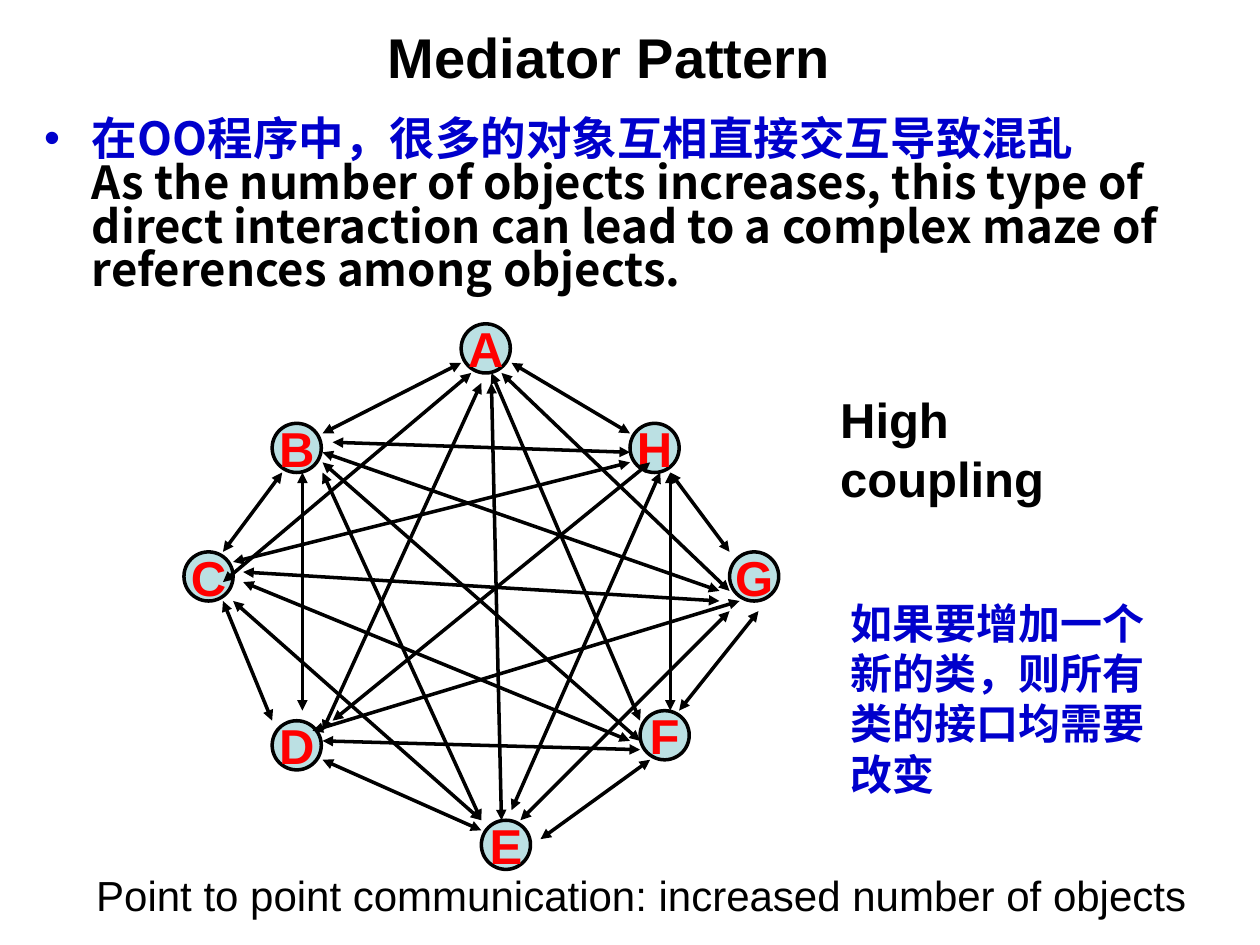
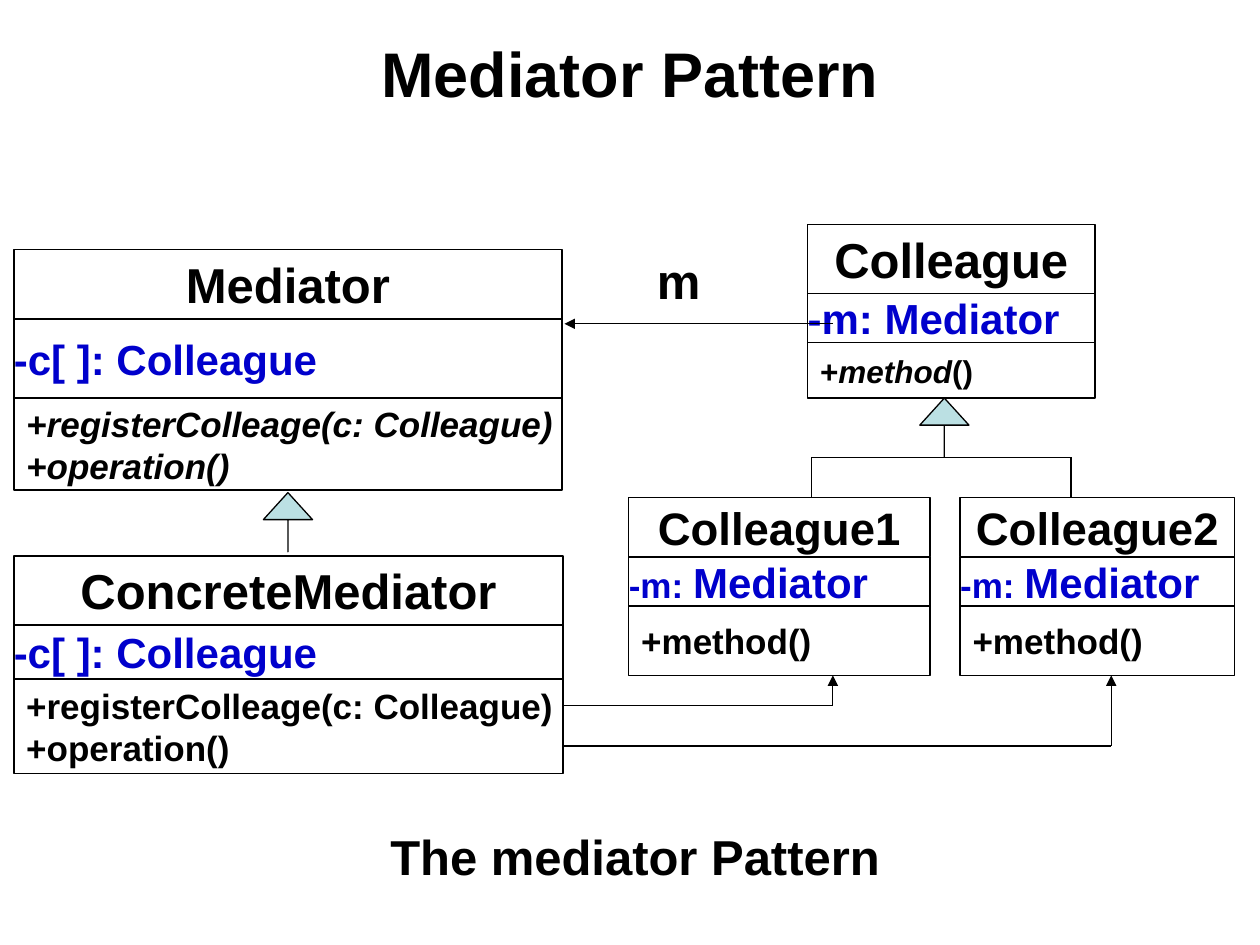
from lxml import etree
from pptx import Presentation
from pptx.dml.color import RGBColor
from pptx.enum.shapes import MSO_CONNECTOR as Conn, MSO_SHAPE as Kind
from pptx.enum.text import MSO_ANCHOR as Anchor, MSO_AUTO_SIZE as Fit, PP_ALIGN as Align
from pptx.oxml.ns import qn
from pptx.util import Inches, Pt

BLACK = RGBColor(0x00, 0x00, 0x00)
WHITE = RGBColor(0xFF, 0xFF, 0xFF)
BLUE = RGBColor(0x00, 0x00, 0xCC)
RED = RGBColor(0xFF, 0x00, 0x00)
TEAL = RGBColor(0xBB, 0xE0, 0xE3)
LATIN = "Arial"
HAN = "Noto Sans CJK SC"


def write(shape, *paras, size=28, color=BLACK, face=LATIN, bold=True, ital=False,
          align=Align.LEFT, anchor=Anchor.TOP, left=0.1, right=0.1, wrap=True, space=1.0):
    """Fill a shape with paragraphs, each a string or a list of (text, changes) runs."""
    frame = shape.text_frame
    frame.auto_size = Fit.NONE
    frame.word_wrap = wrap
    frame.vertical_anchor = anchor
    frame.margin_left, frame.margin_right = Inches(left), Inches(right)
    frame.margin_top = frame.margin_bottom = Inches(0.05)
    for n, runs in enumerate(paras):
        para = frame.add_paragraph() if n else frame.paragraphs[0]
        para.alignment = align
        para.line_spacing = space
        para.space_before = Pt(0)
        for text, diff in [(runs, {})] if isinstance(runs, str) else runs:
            if text == "\n":
                para.add_line_break()
                continue
            run = para.add_run()
            run.text = text
            font = run.font
            font.size = Pt(diff.get("size", size))
            font.bold = bold
            font.italic = diff.get("ital", ital)
            font.color.rgb = diff.get("color", color)
            font.name = face
            east = etree.SubElement(run._r.get_or_add_rPr(), qn("a:ea"))
            east.set("typeface", face)


def link(slide, x1, y1, x2, y2, width=0.75, ends=()):
    """Draw a straight line; ends names the sides with an arrowhead."""
    wire = slide.shapes.add_connector(
        Conn.STRAIGHT, Inches(x1), Inches(y1), Inches(x2), Inches(y2))
    wire.line.color.rgb = BLACK
    wire.line.width = Pt(width)
    for end in ends:
        etree.SubElement(wire.line._get_or_add_ln(), qn(f"a:{end}")).set("type", "triangle")
    etree.SubElement(wire._element.spPr, qn("a:effectLst"))


prs = Presentation()
prs.slide_width, prs.slide_height = Inches(10), Inches(7.5)
maze = prs.slides.add_slide(prs.slide_layouts[1])
uml = prs.slides.add_slide(prs.slide_layouts[5])

# Titles
for slide, size, spot in [(maze, 32, (2.23, 0.13, 5.21, 0.63)),
                          (uml, 36, (0.5, 0.3, 9, 0.54))]:
    title = slide.shapes.title
    title.left, title.top, title.width, title.height = map(Inches, spot)
    write(title, "Mediator Pattern", size=size, align=Align.CENTER, anchor=Anchor.MIDDLE)

# Slide 1: bulleted statement
body = maze.placeholders[1]
body.left, body.top, body.width, body.height = map(Inches, (0.35, 0.91, 9.37, 1.65))
write(body, [("在OO程序中，很多的对象互相直接交互导致混乱", {"color": BLUE}),
             ("\n", {}),
             ("As the number of objects increases, this type of direct interaction "
              "can lead to a complex maze of references among objects.", {})],
      size=26, face=HAN, left=0, right=0, space=0.8)
props = body.text_frame.paragraphs[0]._p.get_or_add_pPr()
props.set("marL", str(Inches(0.38)))
props.set("indent", str(-Inches(0.38)))
tint = etree.SubElement(etree.SubElement(props, qn("a:buClr")), qn("a:srgbClr"))
tint.set("val", str(BLUE))
etree.SubElement(props, qn("a:buFont")).set("typeface", LATIN)
etree.SubElement(props, qn("a:buChar")).set("char", "•")

# Slide 1: objects
for name, x, y in [("A", 3.66, 2.57), ("B", 2.16, 3.36), ("C", 1.46, 4.38), ("D", 2.16, 5.72),
                   ("E", 3.82, 6.51), ("F", 5.08, 5.64), ("G", 5.79, 4.38), ("H", 5, 3.36)]:
    node = maze.shapes.add_shape(Kind.OVAL, Inches(x), Inches(y), Inches(0.39), Inches(0.39))
    node.shadow.inherit = False
    node.fill.solid()
    node.fill.fore_color.rgb = TEAL
    node.line.color.rgb = BLACK
    node.line.width = Pt(2)
    write(node, name, color=RED, align=Align.CENTER, anchor=Anchor.MIDDLE, wrap=False)

# Slide 1: every object talks to every other one
PAIRS = {
    "AB": (3.66, 2.88, 2.56, 3.44), "AC": (3.74, 2.96, 1.77, 4.62),
    "AD": (3.82, 3.04, 2.56, 5.8), "AE": (3.9, 3.04, 3.98, 6.51),
    "AF": (3.9, 2.96, 5.08, 5.72), "AG": (3.98, 2.96, 5.79, 4.69),
    "AH": (4.06, 2.88, 5, 3.44), "BC": (2.24, 3.75, 1.77, 4.38),
    "BD": (2.4, 3.75, 2.4, 5.64), "BE": (2.56, 3.75, 3.82, 6.51),
    "BF": (2.56, 3.67, 5.08, 5.88), "BG": (2.56, 3.59, 5.71, 4.69),
    "BH": (2.64, 3.51, 5, 3.59), "CD": (1.77, 4.77, 2.16, 5.72),
    "CE": (1.85, 4.77, 3.82, 6.51), "CF": (1.93, 4.62, 5, 5.88),
    "CG": (1.93, 4.54, 5.71, 4.77), "CH": (1.85, 4.46, 5, 3.67),
    "DE": (2.56, 6.03, 3.82, 6.59), "DF": (2.56, 5.88, 5.08, 5.95),
    "DG": (2.48, 5.8, 5.87, 4.77), "DH": (2.64, 5.72, 5.16, 3.67),
    "EF": (4.29, 6.66, 5.16, 6.03), "EG": (4.13, 6.51, 5.79, 4.85),
    "EH": (4.06, 6.43, 5.24, 3.75), "FG": (5.39, 5.64, 6.02, 4.85),
    "FH": (5.32, 5.64, 5.32, 3.75), "GH": (5.79, 4.38, 5.32, 3.75),
}
for ends in PAIRS.values():
    link(maze, *ends, width=2, ends=("headEnd", "tailEnd"))

# Slide 2: classes, each a name, a field and a methods row
OPS = ("+registerColleage(c: Colleague)", "+operation()")
LIST = "-c[ ]: Colleague"
FIELD = [("-m: ", {"size": 20}), ("Mediator", {})]
CALL = [("+", {}), ("method", {"ital": True}), ("()", {})]
CLASSES = [
    ("Mediator", 28, 0.11, 1.98, 4.35, (0.55, 0.63, 0.73), 1, LIST, OPS, 20, True),
    ("ConcreteMediator", 28, 0.11, 4.41, 4.36, (0.55, 0.43, 0.75), 1, LIST, OPS, 20, False),
    ("Colleague", 28, 6.41, 1.78, 2.28, (0.55, 0.39, 0.44), 0.75, "-m: Mediator", (CALL,), 18, False),
    ("Colleague1", 26, 4.99, 3.95, 2.39, (0.47, 0.39, 0.55), 0.75, FIELD, ("+method()",), 20, False),
    ("Colleague2", 26, 7.62, 3.95, 2.18, (0.47, 0.39, 0.55), 0.75, FIELD, ("+method()",), 20, False),
]
for name, big, x, y, wide, rows, edge, field, calls, small, ital in CLASSES:
    parts = [((name,), {"size": big, "align": Align.CENTER}),
             ((field,), {"size": 24, "color": BLUE, "left": 0}),
             (calls, {"size": small, "ital": ital})]
    for high, (text, style) in zip(rows, parts):
        cell = uml.shapes.add_shape(Kind.RECTANGLE, Inches(x), Inches(y), Inches(wide), Inches(high))
        cell.shadow.inherit = False
        cell.fill.solid()
        cell.fill.fore_color.rgb = WHITE
        cell.line.color.rgb = BLACK
        cell.line.width = Pt(edge)
        write(cell, *text, anchor=Anchor.MIDDLE, wrap=False, **style)
        y += high

# Slide 2: inheritance
for x, y in [(7.3, 3.16), (2.09, 3.91)]:
    arrow = uml.shapes.add_shape(Kind.UP_ARROW, Inches(x), Inches(y), Inches(0.39), Inches(0.47))
    arrow.adjustments[0], arrow.adjustments[1] = 0, 0.55
    arrow.shadow.inherit = False
    arrow.fill.solid()
    arrow.fill.fore_color.rgb = TEAL
    arrow.line.color.rgb = BLACK
    arrow.line.width = Pt(0.75)
link(uml, 6.44, 3.63, 8.5, 3.63)
for x in (6.44, 8.5):
    link(uml, x, 3.63, x, 3.95)

# Slide 2: references
link(uml, 6.61, 2.57, 4.48, 2.57, ends=("tailEnd",))
for x, y in [(8.82, 5.92), (6.61, 5.6)]:
    link(uml, 4.47, y, x, y)
    link(uml, x, y, x, 5.36, ends=("tailEnd",))

# Captions and remarks
MID = {"align": Align.CENTER}
for slide, text, spot, style in [
    (maze, "Point to point communication: increased number of objects", (0.59, 6.9, 9, 0.47),
     {"size": 24, "bold": False, "space": 0.9, **MID}),
    (maze, "High coupling", (6.57, 3.04, 2.12, 1.04), {}),
    (maze, "如果要增加一个新的类，则所有类的接口均需要改变", (6.65, 4.69, 2.76, 1.7),
     {"size": 24, "color": BLUE, "face": HAN}),
    (uml, "m", (4.99, 1.94, 0.79, 0.57), MID),
    (uml, "The mediator Pattern", (2.48, 6.51, 5.12, 0.57), MID),
]:
    write(slide.shapes.add_textbox(*map(Inches, spot)), text, **style)

prs.save("out.pptx")
